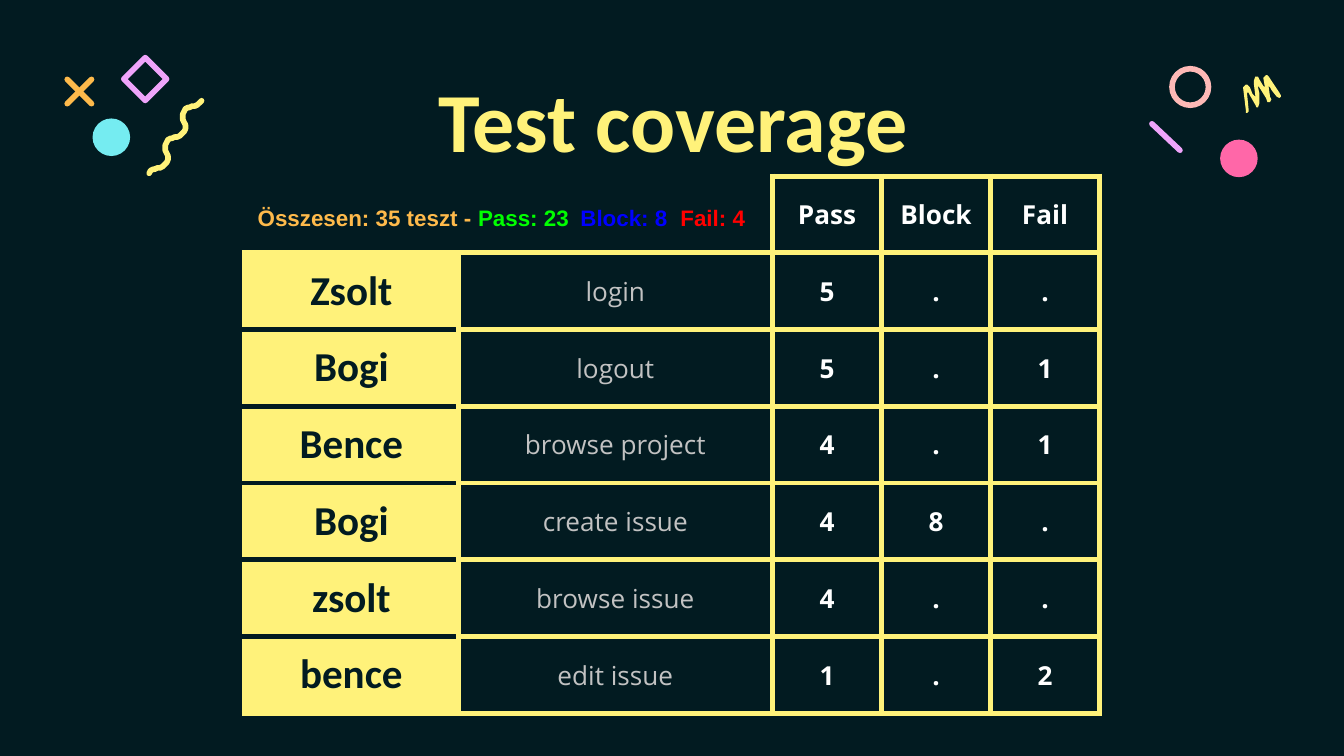
"""Build the test coverage slide with its results table."""
from lxml.etree import SubElement
from pptx import Presentation
from pptx.dml.color import RGBColor
from pptx.enum.shapes import MSO_CONNECTOR, MSO_SHAPE
from pptx.enum.text import MSO_ANCHOR, PP_ALIGN
from pptx.oxml.ns import qn
from pptx.util import Cm, Pt

COLORS = {
    "night": "021B21", "yellow": "FFF27A", "orange": "FEBA4B", "cyan": "75ECF1",
    "lilac": "EFA4FA", "salmon": "FEB9B6", "pink": "FF67A8", "white": "FFFFFF",
    "grey": "C2C2C2", "green": "00FF00", "blue": "0000FF", "red": "FF0000",
}


def style_run(run, size, font, color, bold=True):
    run.font.size = Pt(size)
    run.font.name = font
    run.font.bold = bold
    run.font.color.rgb = RGBColor.from_string(COLORS[color])


def draw_outline(shape, color):
    shape.line.width = Pt(3)
    shape.line.color.rgb = RGBColor.from_string(COLORS[color])
    properties = shape._element.spPr
    outline = properties.find(qn("a:ln"))
    outline.set("cap", "rnd")
    SubElement(outline, qn("a:round"))
    SubElement(properties, qn("a:effectLst"))


deck = Presentation()
deck.slide_width, deck.slide_height = Cm(25.4), Cm(14.29)
slide = deck.slides.add_slide(deck.slide_layouts[6])
slide.background.fill.solid()
slide.background.fill.fore_color.rgb = RGBColor.from_string(COLORS["night"])
shapes = slide.shapes

for left, top, size, color in [(1.75, 2.24, 0.71, "cyan"), (23.06, 2.64, 0.71, "pink")]:
    dot = shapes.add_shape(MSO_SHAPE.OVAL, Cm(left), Cm(top), Cm(size), Cm(size))
    dot.fill.solid()
    dot.fill.fore_color.rgb = RGBColor.from_string(COLORS[color])
    dot.line.fill.background()
    dot.shadow.inherit = False

for kind, left, top, size, color in [
    (MSO_SHAPE.DIAMOND, 2.34, 1.09, 0.81, "lilac"),
    (MSO_SHAPE.OVAL, 22.15, 1.3, 0.69, "salmon"),
]:
    ring = shapes.add_shape(kind, Cm(left), Cm(top), Cm(size), Cm(size))
    ring.fill.background()
    draw_outline(ring, color)

for x1, y1, x2, y2, color in [
    (1.27, 1.5, 1.73, 1.96, "orange"),
    (1.73, 1.5, 1.27, 1.96, "orange"),
    (21.77, 2.34, 22.3, 2.84, "lilac"),
]:
    dash = shapes.add_connector(MSO_CONNECTOR.STRAIGHT, Cm(x1), Cm(y1), Cm(x2), Cm(y2))
    draw_outline(dash, color)

grid = Cm(2.54) / 100
bends = [
    [(150, 75), (146, 81), (140, 78), (137, 83)],
    [(137, 83), (134, 89), (140, 93), (137, 98)],
]
wave_points = []
for bend in range(5):
    for step in range(9):
        t = step / 8
        weights = [(1 - t) ** 3, 3 * t * (1 - t) ** 2, 3 * t * t * (1 - t), t ** 3]
        x, y = [sum(w * point[axis] for w, point in zip(weights, bends[bend % 2]))
                for axis in (0, 1)]
        wave_points.append((x - 13 * (bend // 2), y + 23 * (bend // 2)))
wave_builder = shapes.build_freeform(*wave_points[0], scale=grid)
wave_builder.add_line_segments(wave_points[1:], close=False)
wave = wave_builder.convert_to_shape()
wave.fill.background()
draw_outline(wave, "yellow")

scribble_points = [
    (943, 56), (942, 56), (940, 58), (941, 64), (941, 65), (940, 64), (937, 59),
    (936, 57), (934, 57), (933, 60), (933, 63), (934, 71), (934, 72), (932, 70),
    (930, 65), (929, 64), (928, 63), (927, 63), (926, 64), (925, 65), (925, 66),
    (927, 82), (927, 84), (928, 84), (929, 83), (929, 81), (928, 71), (928, 69),
    (929, 69), (930, 71), (934, 78), (935, 80), (936, 80), (937, 77), (937, 69),
    (936, 65), (936, 64), (937, 65), (942, 73), (943, 76), (945, 76), (946, 74),
    (945, 72), (944, 65), (944, 64), (945, 65), (946, 67), (950, 72), (952, 73),
    (953, 72), (953, 71), (952, 69), (944, 57),
]
scribble_builder = shapes.build_freeform(*scribble_points[0], scale=grid)
scribble_builder.add_line_segments(scribble_points[1:], close=True)
scribble = scribble_builder.convert_to_shape()
scribble.fill.solid()
scribble.fill.fore_color.rgb = RGBColor.from_string(COLORS["yellow"])
scribble.line.fill.background()
scribble.shadow.inherit = False

title = shapes.add_textbox(Cm(4.37), Cm(1.04), Cm(16.69), Cm(1.88)).text_frame
title.text = "Test coverage"
title.paragraphs[0].alignment = PP_ALIGN.CENTER
style_run(title.paragraphs[0].runs[0], 45, "Calibri", "yellow")

results = [
    ("", "", "Pass", "Block", "Fail"),
    ("Zsolt", "login", "5", ".", "."),
    ("Bogi", "logout", "5", ".", "1"),
    ("Bence", "browse project", "4", ".", "1"),
    ("Bogi", "create issue", "4", "8", "."),
    ("zsolt", "browse issue", "4", ".", "."),
    ("bence", "edit issue", "1", ".", "2"),
]
widths = [4.04, 5.94, 2.06, 2.06, 2.06]
row_height = 1.45
last_row = len(results) - 1
coverage = shapes.add_table(len(results), len(widths), Cm(4.62), Cm(3.33),
                            Cm(sum(widths)), Cm(row_height * len(results))).table
coverage.first_row = False
coverage.horz_banding = False
for column, width in zip(coverage.columns, widths):
    column.width = Cm(width)

for row, values in enumerate(results):
    coverage.rows[row].height = Cm(row_height)
    for col, value in enumerate(values):
        cell = coverage.cell(row, col)
        cell.margin_left = cell.margin_right = Cm(0.25)
        cell.margin_top = cell.margin_bottom = Cm(0.25)
        cell.vertical_anchor = MSO_ANCHOR.MIDDLE

        borders = dict.fromkeys(("lnL", "lnR", "lnT", "lnB"), "yellow")
        if row == 0 and col < 2:
            borders["lnL"] = borders["lnT"] = None
            if col == 0:
                borders["lnR"] = None
        elif col == 0:
            if row > 1:
                borders["lnT"] = "night"
            if row < last_row:
                borders["lnB"] = "night"
        for side, color in borders.items():
            border = SubElement(cell._tc.get_or_add_tcPr(), qn(f"a:{side}"), w=str(Pt(3)))
            if color:
                paint = SubElement(border, qn("a:solidFill"))
                SubElement(paint, qn("a:srgbClr"), val=COLORS[color])
            else:
                SubElement(border, qn("a:noFill"))

        if row and col == 0:
            cell.fill.solid()
            cell.fill.fore_color.rgb = RGBColor.from_string(COLORS["yellow"])
        else:
            cell.fill.background()
        if value:
            cell.text_frame.text = value
            entry = cell.text_frame.paragraphs[0]
            entry.alignment = PP_ALIGN.CENTER
            if col == 0:
                style_run(entry.runs[0], 22, "Calibri", "night")
            elif col == 1:
                style_run(entry.runs[0], 14, "Open Sans", "grey", bold=False)
            else:
                style_run(entry.runs[0], 14, "Open Sans", "white")

totals = shapes.add_textbox(Cm(4.62), Cm(3.61), Cm(9.73), Cm(1.02)).text_frame
totals_line = totals.paragraphs[0]
tab_stops = SubElement(totals_line._p.get_or_add_pPr(), qn("a:tabLst"))
for position in (6.1, 7.99):
    SubElement(tab_stops, qn("a:tab"), pos=str(Cm(position)), algn="l")
for words, color in [
    ("Összesen: 35 teszt - ", "orange"), ("Pass: 23\t", "green"),
    ("Block: 8\t", "blue"), ("Fail: 4", "red"),
]:
    total = totals_line.add_run()
    total.text = words
    style_run(total, 12, "Arial", color)

for frame in (title, totals):
    frame.word_wrap = True
    frame.margin_left = frame.margin_right = Cm(0.25)
    frame.margin_top = frame.margin_bottom = Cm(0.25)

deck.save("out.pptx")
